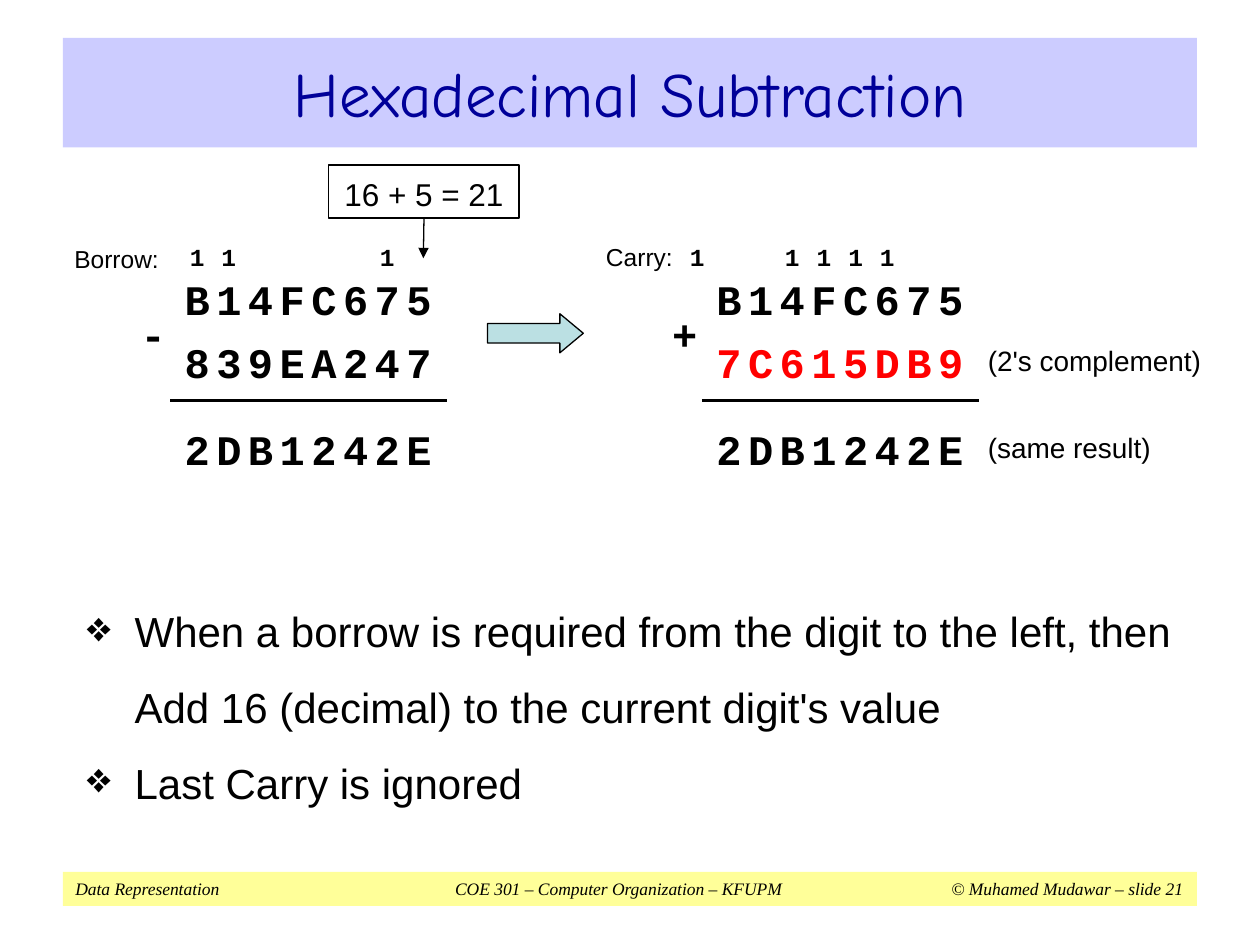
from dataclasses import dataclass

from lxml import etree
from pptx import Presentation
from pptx.dml.color import RGBColor
from pptx.enum.shapes import MSO_CONNECTOR, MSO_SHAPE
from pptx.enum.text import MSO_ANCHOR, PP_ALIGN
from pptx.oxml.ns import qn
from pptx.util import Inches, Pt

LEFT, CENTER = PP_ALIGN.LEFT, PP_ALIGN.CENTER
TOP, MIDDLE = MSO_ANCHOR.TOP, MSO_ANCHOR.MIDDLE
RECT, ARROW = MSO_SHAPE.RECTANGLE, MSO_SHAPE.RIGHT_ARROW
STRAIGHT = MSO_CONNECTOR.STRAIGHT
BOTTOM = 2


@dataclass(frozen=True)
class Font:
    name: str
    size: float
    color: str = "000000"
    bold: bool = False
    italic: bool = False


@dataclass(frozen=True)
class Theme:
    title: Font = Font("Comic Neue", 36, "000099")
    body: Font = Font("Arial", 24)
    call: Font = Font("Arial", 18)
    note: Font = Font("Arial", 16)
    label: Font = Font("Arial", 14)
    digit: Font = Font("Courier New", 24, bold=True)
    accent: Font = Font("Courier New", 24, "FF0000", bold=True)
    carry: Font = Font("Courier New", 14, bold=True)
    foot: Font = Font("Times New Roman", 10, italic=True)
    line: str = "000000"
    white: str = "FFFFFF"
    band: str = "CCCCFF"
    strip: str = "FFFF99"
    arrow: str = "BBE0E3"


@dataclass(frozen=True)
class Box:
    x: float
    y: float
    w: float
    h: float


@dataclass(frozen=True)
class Sum:
    """One worked column sum; ones lists the columns with a borrow or carry."""
    x: float
    label: str
    spot: Box
    sign: str
    first: str
    second: str
    font: Font
    total: str
    ones: tuple[int, ...]


THEME = Theme()
PITCH = 1.76 / 7
ROWS = (2.18, 2.68, 3.37)
SUMS = (
    Sum(1.41, "Borrow:", Box(0.59, 1.94, 0.76, 0.23), "-",
        "B14FC675", "839EA247", THEME.digit, "2DB1242E", (0, 1, 6)),
    Sum(5.63, "Carry:", Box(4.81, 1.92, 0.63, 0.23), "+",
        "B14FC675", "7C615DB9", THEME.accent, "2DB1242E", (-1, 2, 3, 4, 5)),
)
NOTES = (("(2's complement)", ROWS[1]), ("(same result)", ROWS[2]))
POINTS = (
    ("When a borrow is required from the digit to the left, then", True),
    ("Add 16 (decimal) to the current digit's value", False),
    ("Last Carry is ignored", True),
)
FOOT = ("Data Representation", "COE 301 – Computer Organization – KFUPM",
        "© Muhamed Mudawar – slide 21")


def area(box: Box) -> tuple:
    return Inches(box.x), Inches(box.y), Inches(box.w), Inches(box.h)


def write(para, text: str, font: Font, align=LEFT, gap: float = 0.5) -> None:
    """Add one run; gap is the space before, as a share of the line."""
    para.alignment = align
    if gap:
        before = para._p.get_or_add_pPr().get_or_add_spcBef()
        etree.SubElement(before, qn("a:spcPct"), val=str(round(gap * 100000)))
    run = para.add_run()
    run.text = text
    run.font.name = font.name
    run.font.size = Pt(font.size)
    run.font.bold = font.bold
    run.font.italic = font.italic
    run.font.color.rgb = RGBColor.from_string(font.color)


def set_frame(shape, anchor, pad_x: float, pad_y: float):
    frame = shape.text_frame
    frame.word_wrap = True
    frame.vertical_anchor = anchor
    frame.margin_left = frame.margin_right = Inches(pad_x)
    frame.margin_top = frame.margin_bottom = Inches(pad_y)
    return frame


def add_text(slide, box: Box, text: str, font: Font, align=LEFT,
             anchor=MIDDLE, pad: float = 0, gap: float = 0.5) -> None:
    frame = set_frame(slide.shapes.add_textbox(*area(box)), anchor, 0, pad)
    write(frame.paragraphs[0], text, font, align, gap)


def add_block(slide, kind, box: Box, fill: str, edge: bool = False):
    shape = slide.shapes.add_shape(kind, *area(box))
    shape.shadow.inherit = False
    shape.fill.solid()
    shape.fill.fore_color.rgb = RGBColor.from_string(fill)
    if edge:
        shape.line.color.rgb = RGBColor.from_string(THEME.line)
        shape.line.width = Pt(0.75)
    else:
        shape.line.fill.background()
    return shape


def add_line(slide, x: float, y: float, end_x: float, end_y: float, width: float):
    line = slide.shapes.add_connector(
        STRAIGHT, Inches(x), Inches(y), Inches(end_x), Inches(end_y))
    line.line.color.rgb = RGBColor.from_string(THEME.line)
    line.line.width = Pt(width)
    etree.SubElement(line._element.spPr, qn("a:effectLst"))
    return line


def add_digits(slide, x: float, y: float, word: str, font: Font) -> None:
    for col, char in enumerate(word):
        add_text(slide, Box(x + col * PITCH, y, 0.31, 0.38), char, font, CENTER)


def add_sum(slide, item: Sum) -> None:
    add_text(slide, item.spot, item.label, THEME.label)
    for col in item.ones:
        spot = Box(item.x + 0.06 + col * PITCH, 1.92, 0.19, 0.23)
        add_text(slide, spot, "1", THEME.carry, CENTER)
    add_text(slide, Box(item.x - 0.32, 2.49, 0.25, 0.32), item.sign,
             THEME.digit, CENTER)
    words = (item.first, item.second, item.total)
    fonts = (THEME.digit, item.font, THEME.digit)
    for y, word, font in zip(ROWS, words, fonts):
        add_digits(slide, item.x, y, word, font)
    add_line(slide, item.x - 0.06, 3.18, item.x + 2.14, 3.18, 1.5)


def add_call(slide) -> None:
    box = add_block(slide, RECT, Box(2.61, 1.31, 1.51, 0.42), THEME.white, True)
    para = set_frame(box, MIDDLE, 0.1, 0.04).paragraphs[0]
    para.line_spacing = 1.1
    write(para, "16 + 5 = 21", THEME.call, CENTER)
    line = add_line(slide, 3.36, 1.73, 3.36, 2.05, 0.75)
    line.begin_connect(box, BOTTOM)
    etree.SubElement(line.line._get_or_add_ln(), qn("a:tailEnd"), type="triangle")


def add_points(slide) -> None:
    shape = slide.shapes.add_textbox(*area(Box(0.59, 4.76, 8.88, 2.08)))
    frame = set_frame(shape, TOP, 0.1, 0.05)
    for row, (text, mark) in enumerate(POINTS):
        para = frame.add_paragraph() if row else frame.paragraphs[0]
        write(para, text, THEME.body, gap=0.6)
        props = para._p.get_or_add_pPr()
        props.set("marL", str(Inches(0.38)))
        if mark:
            props.set("indent", str(-Inches(0.38)))
            etree.SubElement(props, qn("a:buChar"), char="❖")


def add_foot(slide) -> None:
    strip = add_block(slide, RECT, Box(0.5, 6.92, 9, 0.27), THEME.strip)
    para = set_frame(strip, TOP, 0.1, 0.05).paragraphs[0]
    write(para, "\t".join(FOOT), THEME.foot)
    tabs = etree.SubElement(para._p.get_or_add_pPr(), qn("a:tabLst"))
    for pos, align in ((4.31, "ctr"), (8.79, "r")):
        etree.SubElement(tabs, qn("a:tab"), pos=str(Inches(pos)), algn=align)


def main() -> None:
    deck = Presentation()
    deck.slide_width, deck.slide_height = Inches(10), Inches(7.5)
    slide = deck.slides.add_slide(deck.slide_layouts[6])
    add_foot(slide)
    band = add_block(slide, RECT, Box(0.5, 0.3, 9, 0.87), THEME.band)
    write(set_frame(band, MIDDLE, 0.1, 0.05).paragraphs[0],
          "Hexadecimal Subtraction", THEME.title, CENTER, 0)
    add_points(slide)
    for item in SUMS:
        add_sum(slide, item)
    arrow = add_block(slide, ARROW, Box(3.87, 2.49, 0.76, 0.31), THEME.arrow, True)
    arrow.adjustments[1] = 0.6
    add_call(slide)
    for text, y in NOTES:
        add_text(slide, Box(7.84, y, 1.72, 0.38), text, THEME.note,
                 anchor=TOP, pad=0.05, gap=0)
    deck.save("out.pptx")


if __name__ == "__main__":
    main()
